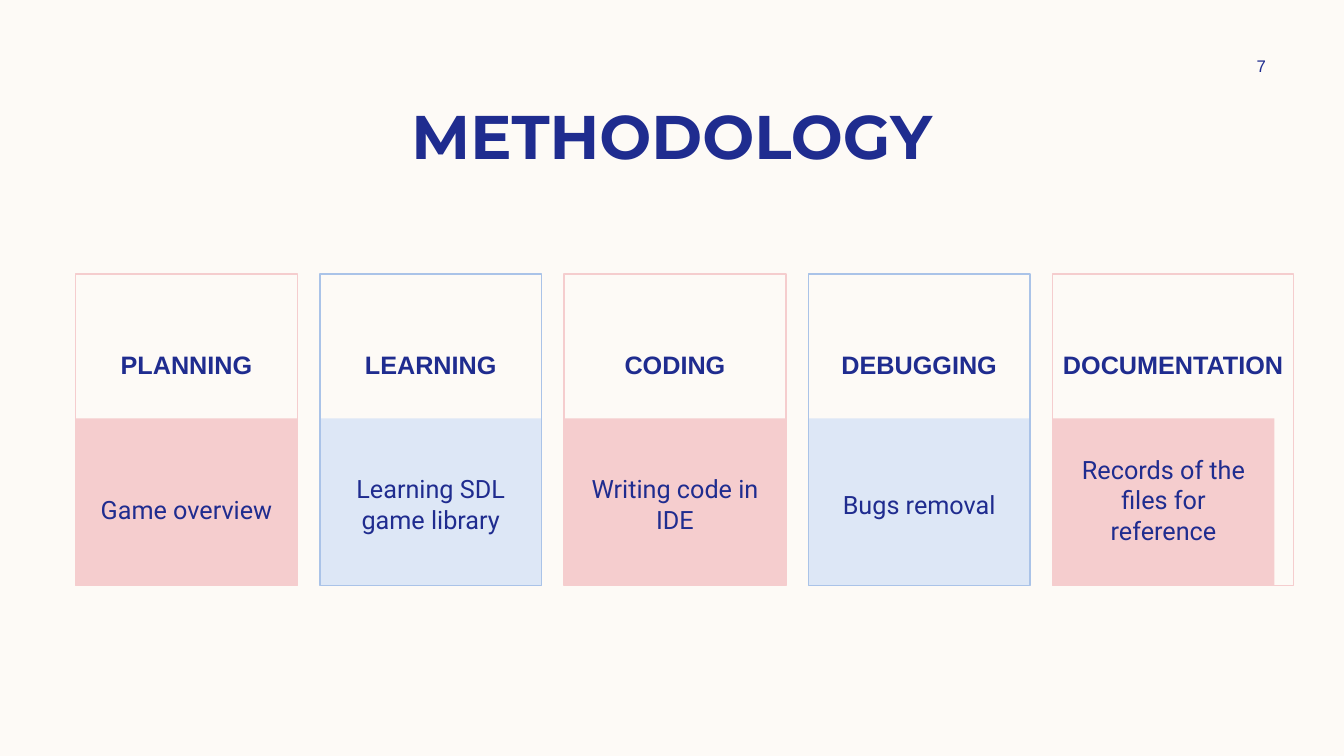
from pptx import Presentation
from pptx.dml.color import RGBColor
from pptx.enum.shapes import MSO_SHAPE
from pptx.enum.text import MSO_ANCHOR, PP_ALIGN
from pptx.util import Inches, Pt

RECTANGLE = MSO_SHAPE.RECTANGLE
TOP, MIDDLE = MSO_ANCHOR.TOP, MSO_ANCHOR.MIDDLE
CENTER = PP_ALIGN.CENTER

CREAM, NAVY = "FDFAF6", "1F2C8F"
PINK = {"fill": "F5CDCE", "line": "F5CDCE"}
BLUE = {"fill": "DDE7F6", "line": "AAC3E8"}

TITLE_FONT = {"name": "Montserrat", "size": Pt(44), "bold": True}
NUMBER_FONT = {"name": "Arial", "size": Pt(12), "bold": False}
HEADING_FONT = {"name": "Arial", "size": Pt(18), "bold": True}
DETAIL_FONT = {"name": "Roboto", "size": Pt(18), "bold": False}

CARD_WIDTH, CARD_HEIGHT = 2.2, 3.09
PANEL_HEIGHT = 1.66
STEPS_BOX = (0.75, 2.72, 11.89, CARD_HEIGHT)
STEPS = [
    {"heading": "PLANNING", "detail": "Game overview", "nudge": 0.05},
    {"heading": "LEARNING", "detail": "Learning SDL game library"},
    {"heading": "CODING", "detail": "Writing code in IDE"},
    {"heading": "DEBUGGING", "detail": "Bugs removal"},
    {
        "heading": "DOCUMENTATION",
        "detail": "Records of the files for reference",
        "nudge": -0.04,
        "extra_width": 0.19,
    },
]


def color(value):
    """Turn a hex string into a colour."""
    return RGBColor.from_string(value)


def inches(box):
    """Turn a box of plain numbers into lengths."""
    return [Inches(value) for value in box]


def write(shape, text, font, anchor=MIDDLE, top_margin=0.05):
    """Put one centred navy paragraph into a shape."""
    frame = shape.text_frame
    settings = {
        "word_wrap": True,
        "vertical_anchor": anchor,
        "margin_left": Inches(0.1),
        "margin_right": Inches(0.1),
        "margin_top": Inches(top_margin),
        "margin_bottom": Inches(0.05),
    }
    for name, value in settings.items():
        setattr(frame, name, value)
    para = frame.paragraphs[0]
    para.alignment = CENTER
    span = para.add_run()
    span.text = text
    for name, value in font.items():
        setattr(span.font, name, value)
    span.font.color.rgb = color(NAVY)


def add_text(page, box, text, font):
    """Add a text box with one centred paragraph."""
    write(page.shapes.add_textbox(*inches(box)), text, font)


def add_rectangle(page, box, fill=None, line=None):
    """Add a rectangle with an optional fill and outline."""
    shape = page.shapes.add_shape(RECTANGLE, *inches(box))
    shape.shadow.inherit = False
    if fill:
        shape.fill.solid()
        shape.fill.fore_color.rgb = color(fill)
    else:
        shape.fill.background()
    if line:
        shape.line.color.rgb = color(line)
        shape.line.width = Pt(1)
    else:
        shape.line.fill.background()
    return shape


def add_title(page, box, text):
    """Place and format the title placeholder."""
    title = page.shapes.title
    title.left, title.top, title.width, title.height = inches(box)
    write(title, text, TITLE_FONT)


def add_step(page, box, step, palette):
    """Draw one step card: outlined heading above a filled detail panel."""
    left, top, width, height = box
    panel_top = top + height - PANEL_HEIGHT
    add_rectangle(page, (left, panel_top, width, PANEL_HEIGHT), fill=palette["fill"])
    frame_box = (left, top, width + step.get("extra_width", 0), height)
    frame = add_rectangle(page, frame_box, line=palette["line"])
    write(frame, step["heading"], HEADING_FONT, TOP, 0.75)
    detail_top = panel_top + 0.1 + step.get("nudge", 0)
    add_text(page, (left + 0.05, detail_top, width - 0.1, 1.5), step["detail"], DETAIL_FONT)


def add_steps(page, box, steps):
    """Spread the step cards evenly across a box in alternating colours."""
    left, top, width, height = box
    pitch = (width - CARD_WIDTH) / (len(steps) - 1)
    for index, step in enumerate(steps):
        card = (left + index * pitch, top, CARD_WIDTH, height)
        add_step(page, card, step, (PINK, BLUE)[index % 2])


def main():
    """Build the methodology slide and save the deck."""
    deck = Presentation()
    deck.slide_width, deck.slide_height = Inches(13.33), Inches(7.5)
    page = deck.slides.add_slide(deck.slide_layouts.get_by_name("Title Only"))
    page.background.fill.solid()
    page.background.fill.fore_color.rgb = color(CREAM)
    add_title(page, (0.83, 0.92, 11.67, 0.84), "METHODOLOGY")
    add_text(page, (11.97, 0.5, 1.08, 0.3), "7", NUMBER_FONT)
    add_steps(page, STEPS_BOX, STEPS)
    deck.save("out.pptx")


if __name__ == "__main__":
    main()
